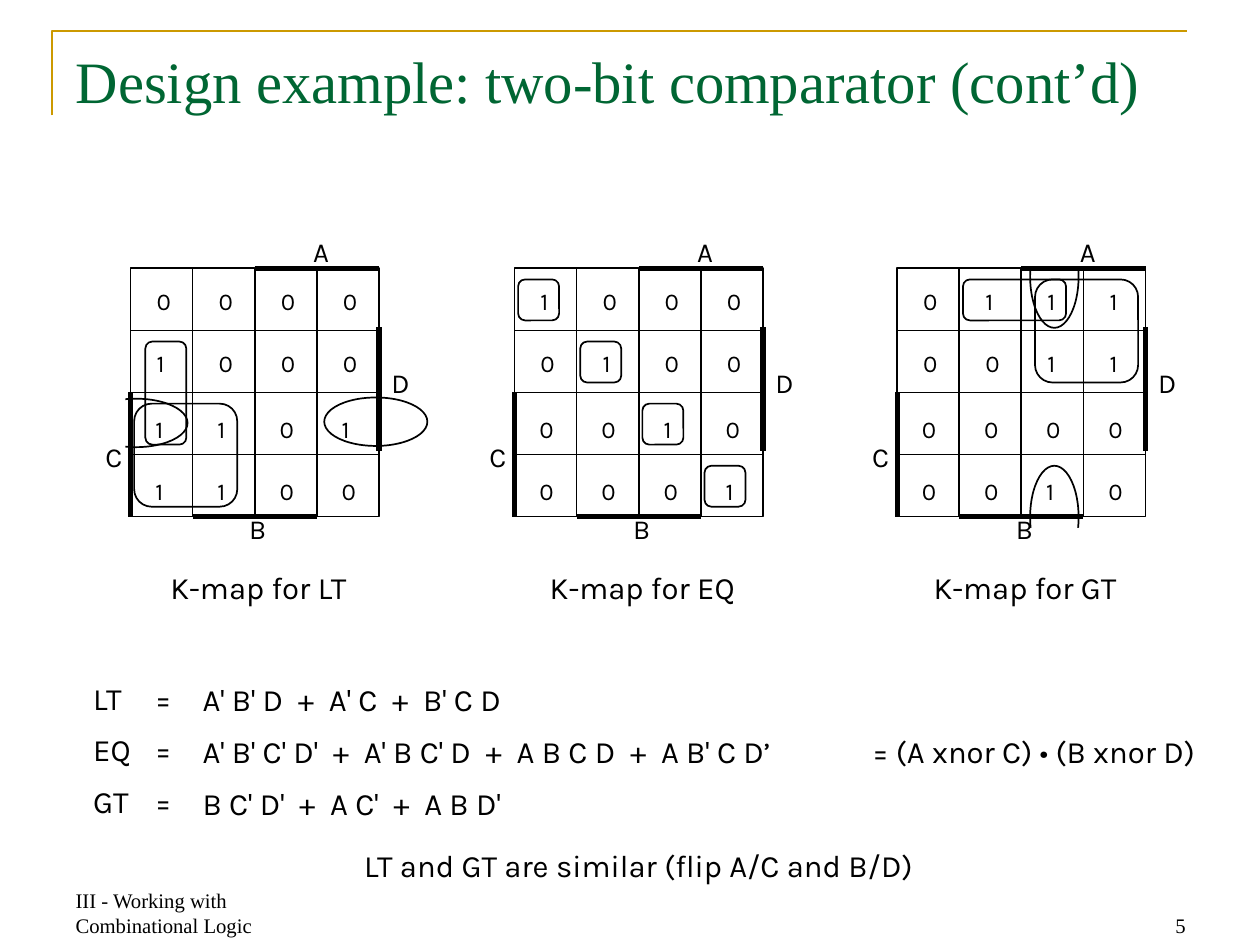
from dataclasses import dataclass
from lxml import etree
from pptx import Presentation, util as u
from pptx.dml.color import RGBColor
from pptx.enum import shapes, text
from pptx.oxml import ns


@dataclass(frozen=True)
class Theme:
    ink: RGBColor = RGBColor(0, 0, 0)
    paper: RGBColor = RGBColor(255, 255, 255)
    gold: RGBColor = RGBColor(0xCC, 0x99, 0)
    green: RGBColor = RGBColor(0, 0x66, 0x33)
    serif: str = "Times New Roman"
    sans: str = "Karla"
    title: int = 34
    body: int = 18
    label: int = 16
    digit: int = 14
    footer: int = 12


theme = Theme()
align = text.PP_ALIGN
anchor = text.MSO_ANCHOR
kinds = shapes.MSO_SHAPE

presentation = Presentation()
presentation.slide_width = u.Inches(10.14)
presentation.slide_height = u.Inches(7.6)
slide = presentation.slides.add_slide(presentation.slide_layouts[5])


def add_text(words, box, size, spacing=None, alignment=align.LEFT, gap=0, tight=True):
    shape = slide.shapes.add_textbox(*map(u.Inches, box))
    frame = shape.text_frame
    frame.text = words
    frame.word_wrap = False
    if tight:
        frame.margin_left = frame.margin_right = u.Inches(0.02)
        frame.margin_top = frame.margin_bottom = u.Inches(0.03)
    for index, paragraph in enumerate(frame.paragraphs):
        if "\t" in words:
            properties = paragraph._p.get_or_add_pPr()
            tabs = etree.SubElement(properties, ns.qn("a:tabLst"))
            etree.SubElement(tabs, ns.qn("a:tab"), pos=str(u.Inches(0.5)), algn="l")
        paragraph.alignment = alignment
        if spacing:
            paragraph.line_spacing = u.Pt(spacing)
        if index and gap:
            paragraph.space_before = u.Pt(gap)
        for run in paragraph.runs:
            run.font.size = u.Pt(size)
            run.font.name = theme.sans
            run.font.color.rgb = theme.ink
    return shape


def add_outline(kind, box, masked=False):
    shape = slide.shapes.add_shape(kind, *map(u.Inches, box))
    shape.shadow.inherit = False
    if masked:
        shape.fill.solid()
        shape.fill.fore_color.rgb = theme.paper
        shape.line.fill.background()
    else:
        shape.fill.background()
        shape.line.color.rgb = theme.ink
        shape.line.width = u.Pt(1)
    return shape


builder = slide.shapes.build_freeform(u.Inches(0.42), u.Inches(0.93))
builder.add_line_segments([(u.Inches(0.42), u.Inches(0.25)), (u.Inches(9.55), u.Inches(0.25))], close=False)
corner = builder.convert_to_shape()
corner.shadow.inherit = False
corner.fill.background()
corner.line.color.rgb = theme.gold
corner.line.width = u.Pt(1.5)

title = slide.shapes.title
title.left, title.top, title.width, title.height = map(u.Inches, (0.51, 0.31, 9.12, 1.26))
title.text_frame.text = "Design example: two-bit comparator (cont’d)"
title.text_frame.auto_size = text.MSO_AUTO_SIZE.NONE
title.text_frame.vertical_anchor = anchor.TOP
title.text_frame.paragraphs[0].alignment = align.LEFT
title_font = title.text_frame.paragraphs[0].runs[0].font
title_font.name, title_font.size = theme.serif, u.Pt(theme.title)
title_font.color.rgb = theme.green

for words, left, alignment in [
    ("III - Working with Combinational Logic", 0.51, align.LEFT),
    ("5", 7.27, align.RIGHT),
]:
    footer = add_text(words, (left, 7.09, 2.37, 0.51), theme.footer, alignment=alignment, tight=False)
    footer.text_frame.word_wrap = True
    footer.text_frame.vertical_anchor = anchor.BOTTOM
    footer.text_frame.paragraphs[0].runs[0].font.name = theme.serif

wrapped_pairs = [
    ((2.61, 3.2, 0.83, 0.39), None),
    ((0.68, 3.21, 0.83, 0.39), (0.5, 3.18, 0.51, 0.46)),
    ((8.29, 1.81, 0.39, 0.83), (8.25, 1.64, 0.46, 0.51)),
    ((8.29, 3.75, 0.39, 0.83), (8.25, 4.25, 0.46, 0.51)),
]
for ellipse, mask in wrapped_pairs:
    add_outline(kinds.OVAL, ellipse)
    if mask:
        add_outline(kinds.RECTANGLE, mask, masked=True)

cell = 0.5
map_top = 2.16
map_lefts = [1.05, 4.14, 7.22]
maps = [
    ("LT", ["0000", "1000", "1101", "1100"], [(0, 2, 2, 2), (0.18, 1, 1, 2)]),
    ("EQ", ["1000", "0100", "0010", "0001"], [(step, step, 1, 1) for step in range(4)]),
    ("GT", ["0111", "0011", "0000", "0010"], [(2.16, 0, 2, 2), (1, 0, 2, 1)]),
]
thin_lines = [(step, 0, step, 4) for step in (1, 3)] + [(0, step, 4, step) for step in (1, 3)]
thick_lines = [(2, 0, 4, 0), (4, 0.95, 4, 2.95), (0, 2, 0, 4), (1, 4, 3, 4)]
labels = [("A", 2.9, -0.5), ("D", 4.16, 1.6), ("B", 1.87, 3.96)]

for map_left, (name, rows, loops) in zip(map_lefts, maps):
    for half_row in range(2):
        for half_column in range(2):
            left, top = map_left + half_column, map_top + half_row
            add_outline(kinds.RECTANGLE, (left, top, 2 * cell, 2 * cell))
            digits = "\n".join(
                "\t".join(row[2 * half_column:2 * half_column + 2])
                for row in rows[2 * half_row:2 * half_row + 2]
            )
            add_text(digits, (left + 0.19 - 0.01 * half_row, top + 0.1 + 0.03 * half_row, 0.9, 0.89),
                     theme.digit, 18, gap=18)

    for lines, weight in [(thin_lines, 1), (thick_lines, 3)]:
        for start_column, start_row, end_column, end_row in lines:
            line = slide.shapes.add_connector(
                shapes.MSO_CONNECTOR.STRAIGHT,
                u.Inches(map_left + start_column * cell), u.Inches(map_top + start_row * cell),
                u.Inches(map_left + end_column * cell), u.Inches(map_top + end_row * cell))
            line.line.color.rgb = theme.ink
            line.line.width = u.Pt(weight)
            etree.SubElement(line._element.spPr, ns.qn("a:effectLst"))

    for letter, column, row in labels:
        add_text(letter, (map_left + column * cell, map_top + row * cell, 0.64, 0.36), theme.label, 16)
    add_text("C", (map_left - 0.3, 3.49, 0.34, 0.37), theme.label, tight=False)
    add_text(f"K-map for {name}", (map_left + 0.03, 4.54, 2, 0.72), theme.body, 22, align.CENTER)

    for column, row, columns, row_count in loops:
        loop = add_outline(kinds.ROUNDED_RECTANGLE, (
            map_left + 0.03 + column * cell, map_top + 0.09 + row * cell,
            columns * cell - 0.17, row_count * cell - 0.17))
        loop.adjustments[0] = 0.17

add_text("LT\t=\nEQ\t=\nGT\t=", (0.58, 5.32, 0.97, 1.39), theme.body, 30, align.CENTER)
equations = [
    "A' B' D  +  A' C  +  B' C D",
    "A' B' C' D'  +  A' B C' D  +  A B C D  +  A B' C D’",
    "B C' D'  +  A C'  +  A B D'",
]
for index, equation in enumerate(equations):
    add_text(equation, (1.61, 5.33 + 0.42 * index, 5.39, 0.5), theme.body, 30)
add_text("= (A xnor C) • (B xnor D)", (7, 5.75, 2.89, 0.5), theme.body, 30)
add_text("LT and GT are similar (flip A/C and B/D)", (1.92, 6.67, 6.44, 0.58), theme.body, 30, align.CENTER)

presentation.save("out.pptx")
